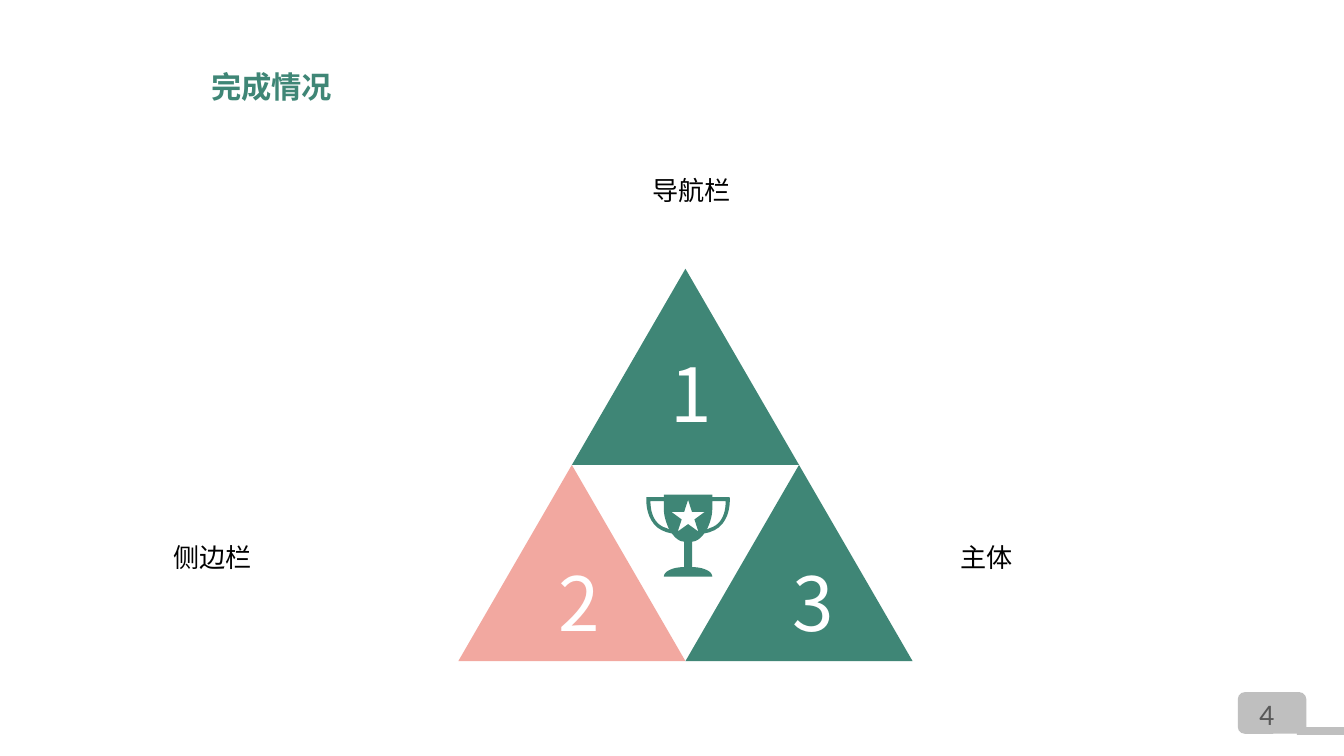
from math import cos, pi, sin

from lxml.etree import SubElement
from pptx import Presentation
from pptx.dml.color import RGBColor
from pptx.enum.shapes import MSO_SHAPE as Shape
from pptx.enum.text import MSO_ANCHOR as Anchor, MSO_AUTO_SIZE as AutoSize, PP_ALIGN as Align
from pptx.oxml.ns import qn
from pptx.util import Inches, Pt

COLORS = {
    "green": "3F8676",
    "pink": "F2A8A0",
    "gray": "BFBFBF",
    "dark": "595959",
    "black": "000000",
    "white": "FFFFFF",
}
FONT = "Noto Sans CJK SC"
TITLE_ONLY = 5


def write(frame, text, size, color, font=FONT, bold=False, align=Align.LEFT,
          anchor=Anchor.TOP, spacing=None, margins=(0.1, 0.05), wrap=True):
    frame.word_wrap = wrap
    frame.auto_size = AutoSize.NONE
    frame.vertical_anchor = anchor
    frame.margin_left = frame.margin_right = Inches(margins[0])
    frame.margin_top = frame.margin_bottom = Inches(margins[1])
    paragraph = frame.paragraphs[0]
    paragraph.alignment = align
    if spacing:
        paragraph.line_spacing = spacing
    run = paragraph.add_run()
    run.text = text
    run.font.size = Pt(size)
    run.font.bold = bold
    run.font.color.rgb = RGBColor.from_string(COLORS[color])
    run.font.name = font
    SubElement(run.font._element, qn("a:ea"), typeface=font)


def curve(start, first, second, end, steps=12):
    weights = [((1 - t) ** 3, 3 * t * (1 - t) ** 2, 3 * t * t * (1 - t), t ** 3)
               for t in (i / steps for i in range(steps + 1))]
    controls = (start, first, second, end)
    return [tuple(sum(w * p[axis] for w, p in zip(row, controls)) for axis in (0, 1))
            for row in weights]


def mirror(points):
    return [(-x, y) for x, y in reversed(points)]


def trophy_contours():
    half = [(0, 0), (0.18, 0), (0.18, 0.02)]
    half += curve((0.31, 0.02), (0.31, 0.02), (0.33, 0.23), (0.16, 0.28))
    half += curve((0.12, 0.29), (0.09, 0.33), (0.06, 0.35), (0.03, 0.35))
    half += curve((0.03, 0.54), (0.11, 0.54), (0.18, 0.57), (0.18, 0.61))
    handle = [(0.18, 0.11), (0.18, 0.05)]
    handle += curve((0.28, 0.05), (0.28, 0.1), (0.27, 0.22), (0.16, 0.25))
    handle += curve((0.14, 0.26), (0.16, 0.22), (0.18, 0.16), (0.18, 0.11))
    star = [(radius * sin(i * pi / 5), 0.17 - radius * cos(i * pi / 5))
            for i, radius in enumerate([0.13, 0.05] * 5)]
    return [half + mirror(half), handle, mirror(handle), star]


class Deck:
    """Holds the style and the current slide."""

    def __init__(self, width, height):
        self.presentation = Presentation()
        self.presentation.slide_width = Inches(width)
        self.presentation.slide_height = Inches(height)
        layout = self.presentation.slide_layouts[TITLE_ONLY]
        self.slide = self.presentation.slides.add_slide(layout)

    def title(self, text, box, **style):
        heading = self.slide.shapes.title
        heading.left, heading.top, heading.width, heading.height = map(Inches, box)
        write(heading.text_frame, text, **style)

    def text(self, text, box, **style):
        label = self.slide.shapes.add_textbox(*map(Inches, box))
        write(label.text_frame, text, **style)

    def paint(self, shape, color):
        shape.shadow.inherit = False
        shape.fill.solid()
        shape.fill.fore_color.rgb = RGBColor.from_string(COLORS[color])
        shape.line.fill.background()

    def block(self, preset, box, color):
        self.paint(self.slide.shapes.add_shape(preset, *map(Inches, box)), color)

    def outline(self, contours, center, top, color):
        placed = [[(Inches(center + x), Inches(top + y)) for x, y in contour]
                  for contour in contours]
        builder = self.slide.shapes.build_freeform(*placed[0][0])
        for index, (start, *rest) in enumerate(placed):
            if index:
                builder.move_to(*start)
            builder.add_line_segments(rest, close=True)
        self.paint(builder.convert_to_shape(), color)


def main():
    width = 10
    deck = Deck(width, width * 9 / 16)
    deck.block(Shape.ROUNDED_RECTANGLE, (9.21, 5.15, 0.51, 0.31), "gray")
    deck.block(Shape.RECTANGLE, (9.65, 5.41, 0.35, 0.06), "gray")
    deck.text("4", (9.27, 5.13, 0.48, 0.37), size=16, color="dark",
              font="Calibri", wrap=False)

    side, rise, left, top = 1.69, 1.46, 3.41, 2
    parts = [
        ("1", 0.5, 0, "green", (4.86, 2.53)),
        ("2", 0, 1, "pink", (4.03, 4.08)),
        ("3", 1, 1, "green", (5.77, 4.08)),
    ]
    for number, column, row, color, corner in parts:
        deck.block(Shape.ISOSCELES_TRIANGLE,
                   (left + column * side, top + row * rise, side, rise), color)
        deck.text(number, (*corner, 0.56, 0.79), size=40, color="white",
                  align=Align.CENTER, anchor=Anchor.MIDDLE, margins=(0.07, 0.04))
    deck.outline(trophy_contours(), 5.12, 3.68, "green")

    captions = [
        ("侧边栏", (1.19, 3.91, 1.92, 0.41), Align.JUSTIFY),
        ("主体", (7.05, 3.91, 1.92, 0.41), Align.JUSTIFY),
        ("导航栏", (3.63, 1.18, 3.03, 0.41), Align.CENTER),
    ]
    for caption, box, align in captions:
        deck.text(caption, box, size=14, color="black", align=align, spacing=1.3)

    deck.title("完成情况", (1.47, 0.45, 9, 0.38), size=16.2, color="green",
               bold=True, anchor=Anchor.MIDDLE)
    deck.presentation.save("out.pptx")


if __name__ == "__main__":
    main()
